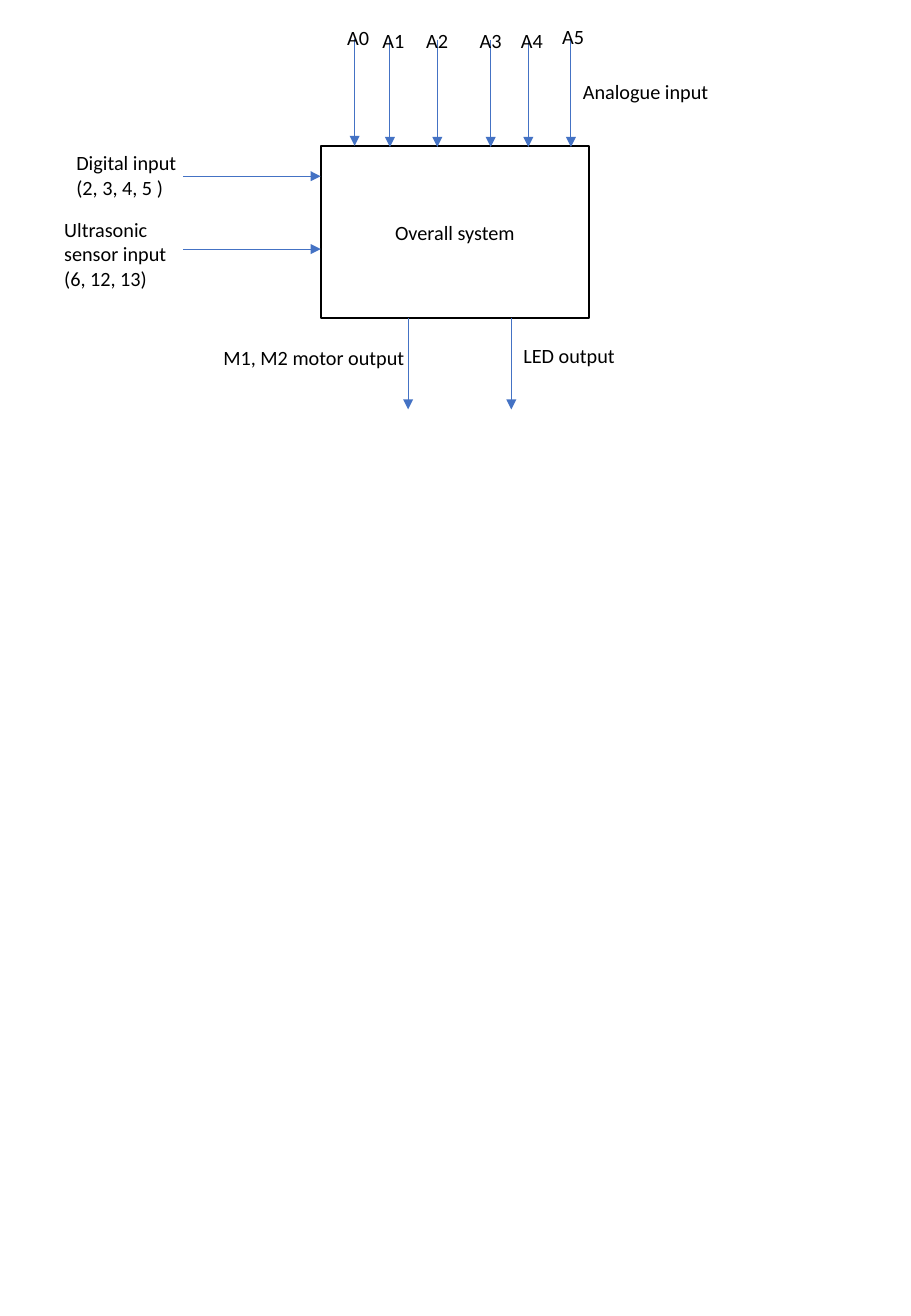
import dataclasses

import lxml.etree
import pptx
import pptx.dml.color
import pptx.enum.shapes
import pptx.enum.text
import pptx.oxml.ns
import pptx.util

Inches = pptx.util.Inches
Pt = pptx.util.Pt
RGBColor = pptx.dml.color.RGBColor
Align = pptx.enum.text.PP_ALIGN
Anchor = pptx.enum.text.MSO_ANCHOR


@dataclasses.dataclass(frozen=True)
class Theme:
    """Colours, font, type size and line widths of the diagram."""
    font: str = "Calibri"
    size: int = 12
    ink: RGBColor = RGBColor(0x00, 0x00, 0x00)
    paper: RGBColor = RGBColor(0xFF, 0xFF, 0xFF)
    signal: RGBColor = RGBColor(0x44, 0x72, 0xC4)
    border_width: float = 1
    signal_width: float = 0.5


THEME = Theme()

SYSTEM_LEFT, SYSTEM_TOP, SYSTEM_WIDTH, SYSTEM_HEIGHT = 2.64, 1.2, 2.21, 1.42
SYSTEM_BOTTOM = SYSTEM_TOP + SYSTEM_HEIGHT
ANALOGUE_LENGTH = 0.88
DIGITAL_START = 1.51
OUTPUT_LENGTH = 0.75

# pin, arrow x, arrow top, label left, label top
ANALOGUE_PINS = [
    ("A0", 2.92, 0.32, 2.76, 0.16),
    ("A1", 3.21, 0.33, 3.05, 0.18),
    ("A2", 3.6, 0.33, 3.41, 0.18),
    ("A3", 4.04, 0.33, 3.85, 0.18),
    ("A4", 4.35, 0.33, 4.19, 0.18),
    ("A5", 4.7, 0.33, 4.53, 0.15),
]
DIGITAL_ARROWS = [1.45, 2.05]
OUTPUT_ARROWS = [3.36, 4.21]
SIGNAL_LABELS = [
    ("Analogue input", 4.7, 0.6, 1.75, 0.3),
    ("Digital input (2, 3, 4, 5 )", 0.53, 1.19, 1.19, 0.5),
    ("Ultrasonic sensor input (6, 12, 13)", 0.43, 1.74, 1.19, 0.71),
    ("M1, M2 motor output", 1.74, 2.79, 1.75, 0.3),
    ("LED output", 4.21, 2.78, 1.75, 0.3),
]


def write_text(frame, text, align=Align.LEFT, anchor=Anchor.TOP, color=THEME.ink):
    """Fill a text frame with one formatted paragraph."""
    frame.word_wrap = True
    frame.vertical_anchor = anchor
    paragraph = frame.paragraphs[0]
    paragraph.alignment = align
    run = paragraph.add_run()
    run.text = text
    run.font.name = THEME.font
    run.font.size = Pt(THEME.size)
    run.font.color.rgb = color


def add_label(slide, text, left, top, width, height):
    """Add a signal label that grows with its text."""
    label = slide.shapes.add_textbox(
        Inches(left), Inches(top), Inches(width), Inches(height))
    write_text(label.text_frame, text)
    label.text_frame.auto_size = pptx.enum.text.MSO_AUTO_SIZE.SHAPE_TO_FIT_TEXT


def add_arrow(slide, start_x, start_y, end_x, end_y):
    """Add a straight signal arrow pointing at its end."""
    arrow = slide.shapes.add_connector(
        pptx.enum.shapes.MSO_CONNECTOR.STRAIGHT,
        Inches(start_x), Inches(start_y), Inches(end_x), Inches(end_y))
    arrow.line.color.rgb = THEME.signal
    arrow.line.width = Pt(THEME.signal_width)
    qn = pptx.oxml.ns.qn
    outline = arrow.line._get_or_add_ln()
    lxml.etree.SubElement(outline, qn("a:tailEnd"), type="triangle")
    lxml.etree.SubElement(arrow._element.spPr, qn("a:effectLst"))


def add_system(slide, text):
    """Add the bordered system box with its centred name."""
    system = slide.shapes.add_shape(
        pptx.enum.shapes.MSO_SHAPE.RECTANGLE,
        Inches(SYSTEM_LEFT), Inches(SYSTEM_TOP),
        Inches(SYSTEM_WIDTH), Inches(SYSTEM_HEIGHT))
    system.shadow.inherit = False
    system.fill.solid()
    system.fill.fore_color.rgb = THEME.paper
    system.line.color.rgb = THEME.ink
    system.line.width = Pt(THEME.border_width)
    write_text(system.text_frame, text, align=Align.CENTER, anchor=Anchor.MIDDLE)


def main():
    """Build the system input and output diagram."""
    presentation = pptx.Presentation()
    presentation.slide_width = Inches(7.5)
    presentation.slide_height = Inches(10.83)
    slide = presentation.slides.add_slide(presentation.slide_layouts[6])

    add_system(slide, "Overall system")
    for pin, x, top, label_left, label_top in ANALOGUE_PINS:
        add_arrow(slide, x, top, x, top + ANALOGUE_LENGTH)
        add_label(slide, pin, label_left, label_top, 0.39, 0.3)
    for y in DIGITAL_ARROWS:
        add_arrow(slide, DIGITAL_START, y, SYSTEM_LEFT, y)
    for x in OUTPUT_ARROWS:
        add_arrow(slide, x, SYSTEM_BOTTOM, x, SYSTEM_BOTTOM + OUTPUT_LENGTH)
    for label in SIGNAL_LABELS:
        add_label(slide, *label)

    presentation.save("out.pptx")


if __name__ == "__main__":
    main()
